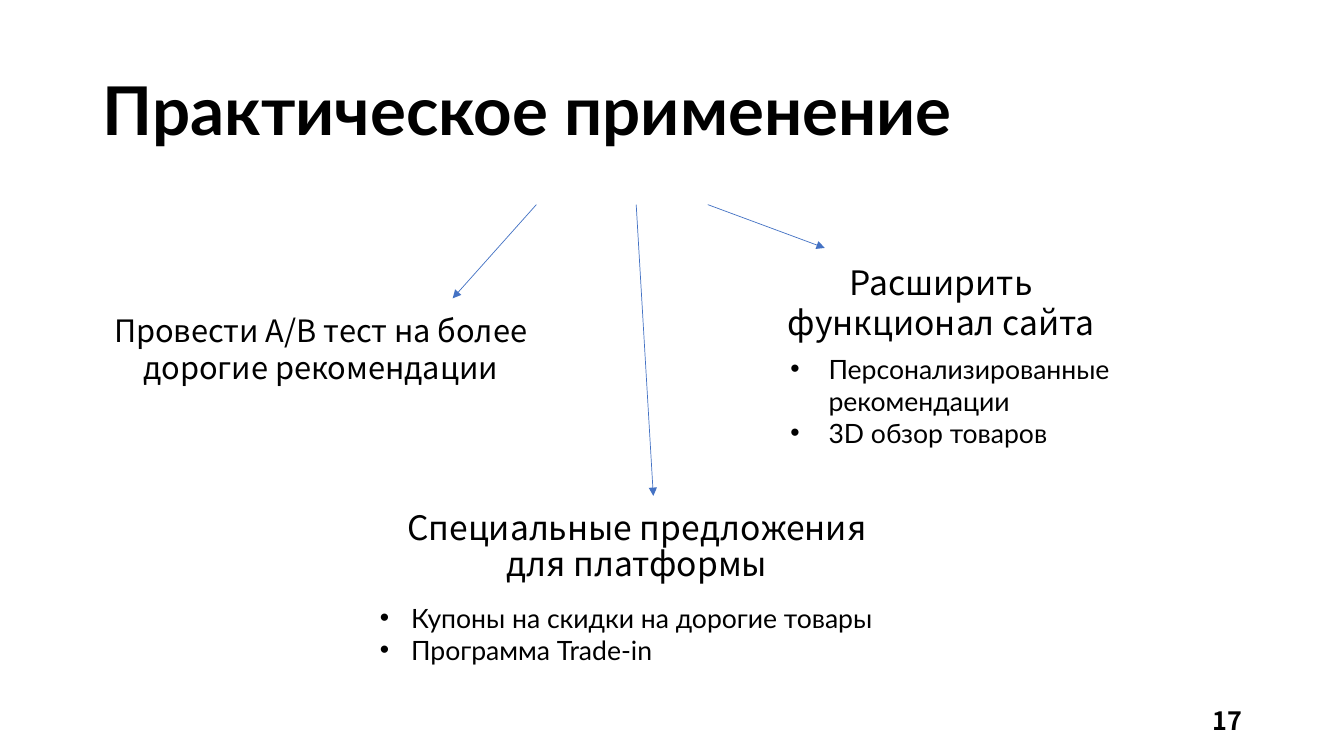
from lxml import etree
from pptx import Presentation
from pptx import util as u
from pptx.dml.color import RGBColor
from pptx.enum import shapes, text
from pptx.oxml.ns import qn

COLORS = {"text": "000000", "arrow": "4472C4", "background": "FFFFFF"}
HEADING_FONT = "Noto Sans CJK JP"
LIST_FONT = "Lato"
ARROW_TOP = 2.03


def color(name):
    return RGBColor.from_string(COLORS[name])


def place(shape, left, top, width, height):
    shape.left, shape.top = u.Inches(left), u.Inches(top)
    shape.width, shape.height = u.Inches(width), u.Inches(height)


def set_bullet(paragraph, indent=0):
    """Give a hanging bullet, or none when the indent is zero."""
    properties = paragraph._p.get_or_add_pPr()
    properties.set("marL", str(u.Inches(indent)))
    properties.set("indent", str(-u.Inches(indent)))
    if indent:
        etree.SubElement(properties, qn("a:buFont")).set("typeface", "Arial")
        etree.SubElement(properties, qn("a:buChar")).set("char", "•")
    else:
        etree.SubElement(properties, qn("a:buNone"))


def write(shape, content, size, font, align="LEFT", anchor="TOP", bold=False,
          line_spacing=None, space_before=0, indent=0):
    frame = shape.text_frame
    frame.word_wrap = True
    frame.auto_size = text.MSO_AUTO_SIZE.NONE
    frame.vertical_anchor = text.MSO_ANCHOR[anchor]
    frame.text = content
    for paragraph in frame.paragraphs:
        paragraph.alignment = text.PP_ALIGN[align]
        paragraph.line_spacing = line_spacing
        paragraph.space_before = u.Pt(space_before)
        set_bullet(paragraph, indent)
        for run in paragraph.runs:
            run.font.size = u.Pt(size)
            run.font.name = font
            run.font.bold = bold
            run.font.color.rgb = color("text")


def add_text(slide, box, content, size, font=HEADING_FONT, **style):
    shape = slide.shapes.add_textbox(*map(u.Inches, box))
    write(shape, content, size, font, **style)


def add_list(slide, box, items, indent):
    add_text(slide, box, "\n".join(items), 19, LIST_FONT, indent=indent)


def add_arrow(slide, start_x, end_x, end_y):
    ends = map(u.Inches, (start_x, ARROW_TOP, end_x, end_y))
    arrow = slide.shapes.add_connector(shapes.MSO_CONNECTOR.STRAIGHT, *ends)
    arrow.line.color.rgb = color("arrow")
    arrow.line.width = u.Pt(0.5)
    etree.SubElement(arrow.line._get_or_add_ln(), qn("a:tailEnd")).set("type", "triangle")
    etree.SubElement(arrow._element.spPr, qn("a:effectLst"))


def main():
    presentation = Presentation()
    presentation.slide_width = u.Inches(13.33)
    presentation.slide_height = u.Inches(7.5)
    slide = presentation.slides.add_slide(presentation.slide_layouts[1])
    slide.background.fill.solid()
    slide.background.fill.fore_color.rgb = color("background")

    # Title
    title = slide.shapes.title
    place(title, 0.92, 0.4, 11.5, 1.45)
    write(title, "Практическое применение", 48, LIST_FONT,
          anchor="MIDDLE", bold=True, line_spacing=0.9)

    # Middle branch: offers
    offers = slide.placeholders[1]
    place(offers, 3.67, 5.02, 5.29, 0.91)
    write(offers, "Специальные предложения для платформы", 24, HEADING_FONT,
          align="CENTER", line_spacing=0.9, space_before=10)
    add_list(slide, (3.67, 5.92, 6.66, 0.74),
             ["Купоны на скидки на дорогие товары", "Программа Trade-in"], 0.31)

    # Left branch: test
    add_text(slide, (0.92, 3.04, 4.52, 0.84),
             "Провести A/B тест на более дорогие рекомендации", 22, align="CENTER")

    # Right branch: site features
    add_text(slide, (7.59, 2.55, 3.49, 0.91), "Расширить функционал сайта", 24,
             align="CENTER")
    add_list(slide, (7.74, 3.45, 3.49, 1.06),
             ["Персонализированные рекомендации", "3D обзор товаров"], 0.38)

    # Arrows from the title to the branches
    for start_x, end_x, end_y in ((5.32, 4.49, 2.96), (6.31, 6.48, 4.92), (7.02, 8.18, 2.46)):
        add_arrow(slide, start_x, end_x, end_y)

    # Slide number
    add_text(slide, (9.42, 6.95, 3, 0.4), "17", 18, align="RIGHT", anchor="MIDDLE", bold=True)

    presentation.save("out.pptx")


if __name__ == "__main__":
    main()
